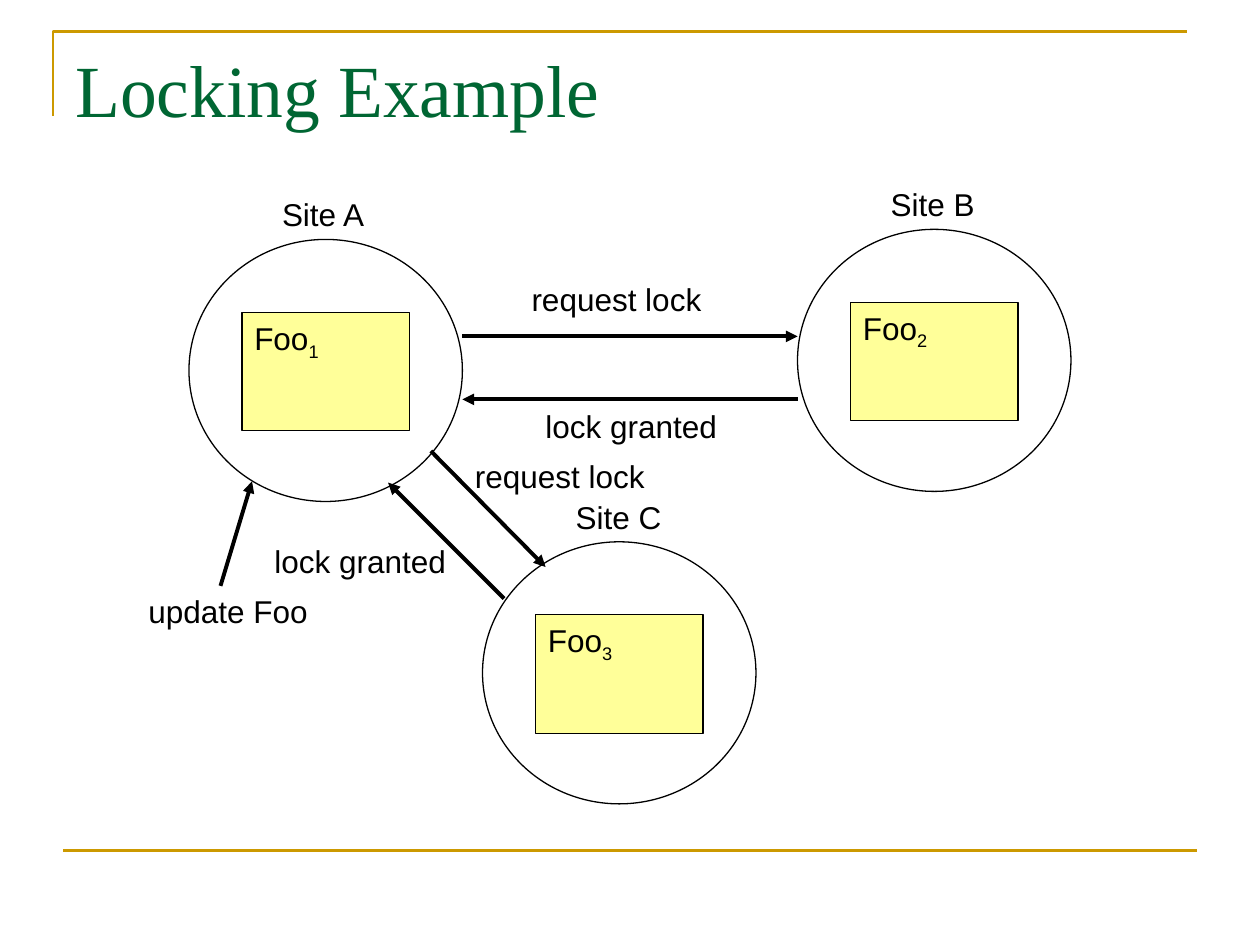
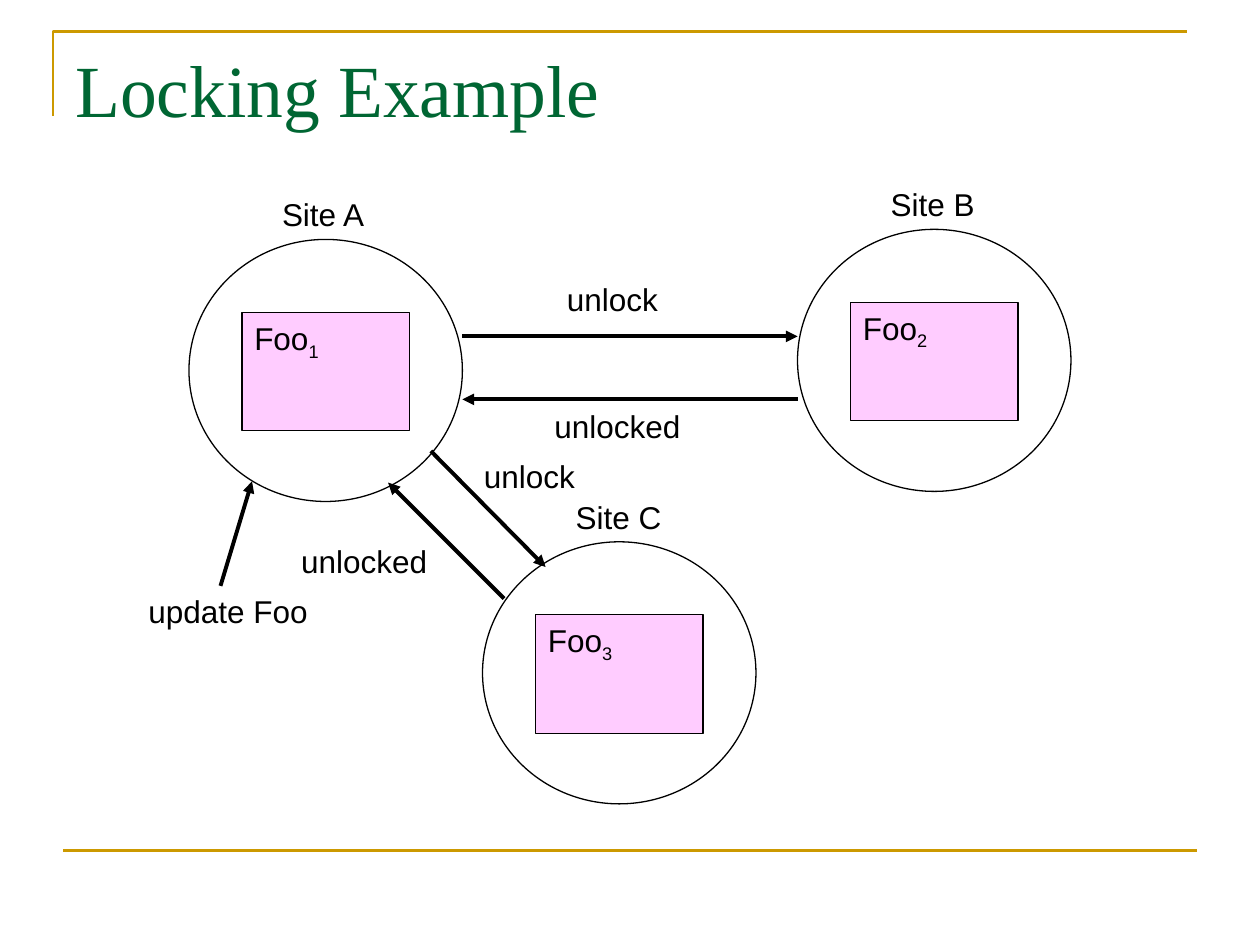
from dataclasses import dataclass
from lxml.etree import SubElement
from pptx import Presentation
from pptx.dml.color import RGBColor
from pptx.enum.shapes import MSO_CONNECTOR, MSO_SHAPE
from pptx.enum.text import MSO_ANCHOR, PP_ALIGN
from pptx.oxml.ns import qn
from pptx.util import Inches, Pt


@dataclass(frozen=True)
class Theme:
    gold: RGBColor = RGBColor(0xCC, 0x99, 0x00)
    green: RGBColor = RGBColor(0x00, 0x66, 0x33)
    black: RGBColor = RGBColor(0x00, 0x00, 0x00)
    yellow: RGBColor = RGBColor(0xFF, 0xFF, 0x99)
    pink: RGBColor = RGBColor(0xFF, 0xCC, 0xFF)
    serif: str = "Times New Roman"
    sans: str = "Arial"
    head: int = 42
    body: int = 18
    thin: float = 0.75
    rule: float = 1.5
    bold: float = 2.25


theme = Theme()


def write(text, box, sub="", size=theme.body, font=theme.sans,
          color=theme.black, left=0.1):
    frame = box.text_frame
    frame.word_wrap = True
    frame.vertical_anchor = MSO_ANCHOR.TOP
    frame.margin_left, frame.margin_right = Inches(left), 0
    frame.margin_top = frame.margin_bottom = Inches(0.05)
    para = frame.paragraphs[0]
    para.alignment = PP_ALIGN.LEFT
    for part in filter(None, (text, sub)):
        run = para.add_run()
        run.text = part
        run.font.size, run.font.name = Pt(size), font
        run.font.color.rgb = color
    if sub:
        run.font._element.set("baseline", "-25000")


def draw(slide, start, end, color=theme.black, width=theme.bold, arrow=True):
    ends = [Inches(n) for n in (*start, *end)]
    line = slide.shapes.add_connector(MSO_CONNECTOR.STRAIGHT, *ends)
    line.line.color.rgb, line.line.width = color, Pt(width)
    if arrow:
        SubElement(line.line._get_or_add_ln(), qn("a:tailEnd"), type="triangle")
    SubElement(line._element.spPr, qn("a:effectLst"))


# Sites: name, left and top of the circle
sites = [("A", 1.5, 1.9), ("B", 6.33, 1.82), ("C", 3.83, 4.3)]

# Messages: start and end of the arrow, left and top of the label
update = ((1.75, 4.65), (2, 3.82), (1.08, 4.65))
ask_b = ((3.67, 2.67), (6.33, 2.67), (4.12, 2.17))
ask_c = ((3.42, 3.58), (4.33, 4.5), (3.67, 3.58))
reply_b = ((6.33, 3.17), (3.67, 3.17), (4.23, 3.18))
reply_c = ((4, 4.75), (3.08, 3.83), (2.08, 4.25))

# Steps: fill of the data, then message, label, label width, left inset
steps = [
    (theme.yellow, [
        (update, "update Foo", 1.46, 0.1),
        (ask_b, "request lock", 1.55, 0.1),
        (ask_c, "request lock", 1.55, 0.1),
        (reply_b, "lock granted", 1.56, 0.1),
        (reply_c, "lock granted", 1.56, 0.1),
    ]),
    (theme.pink, [
        (update, "update Foo", 1.46, 0.1),
        (ask_b, "unlock", 1.2, 0.38),
        (ask_c, "unlock", 0.99, 0.17),
        (reply_b, "unlocked", 1.27, 0.17),
        (reply_c, "unlocked", 1.41, 0.31),
    ]),
]

deck = Presentation()
deck.slide_width, deck.slide_height = Inches(10), Inches(7.5)

for tint, notes in steps:
    slide = deck.slides.add_slide(deck.slide_layouts[6])
    shapes = slide.shapes

    # Frame and title
    path = shapes.build_freeform(Inches(0.42), Inches(0.92))
    path.add_line_segments([(Inches(0.42), Inches(0.25)),
                            (Inches(9.42), Inches(0.25))], close=False)
    frame = path.convert_to_shape()
    frame.shadow.inherit = False
    frame.fill.background()
    frame.line.color.rgb, frame.line.width = theme.gold, Pt(theme.rule)
    draw(slide, (0.5, 6.75), (9.5, 6.75), color=theme.gold,
         width=theme.rule, arrow=False)
    title = shapes.add_textbox(Inches(0.5), Inches(0.3), Inches(9), Inches(1.25))
    write("Locking Example", title, size=theme.head, font=theme.serif,
          color=theme.green)

    # Sites with their copy of the data
    for count, (name, x, y) in enumerate(sites, 1):
        ring = shapes.add_shape(MSO_SHAPE.OVAL, Inches(x), Inches(y),
                                Inches(2.17), Inches(2.08))
        label = shapes.add_textbox(Inches(x + 0.64), Inches(y - 0.4),
                                   Inches(0.87), Inches(0.4))
        write(f"Site {name}", label)
        data = shapes.add_shape(MSO_SHAPE.RECTANGLE, Inches(x + 0.42),
                                Inches(y + 0.58), Inches(1.33), Inches(0.94))
        write("Foo", data, sub=str(count))
        ring.fill.background()
        data.fill.solid()
        data.fill.fore_color.rgb = tint
        for shape in (ring, data):
            shape.shadow.inherit = False
            shape.line.color.rgb = theme.black
            shape.line.width = Pt(theme.thin)

    # Messages between the sites
    for (start, end, (x, y)), text, width, left in notes:
        draw(slide, start, end)
        label = shapes.add_textbox(Inches(x), Inches(y), Inches(width), Inches(0.4))
        write(text, label, left=left)

deck.save("out.pptx")
